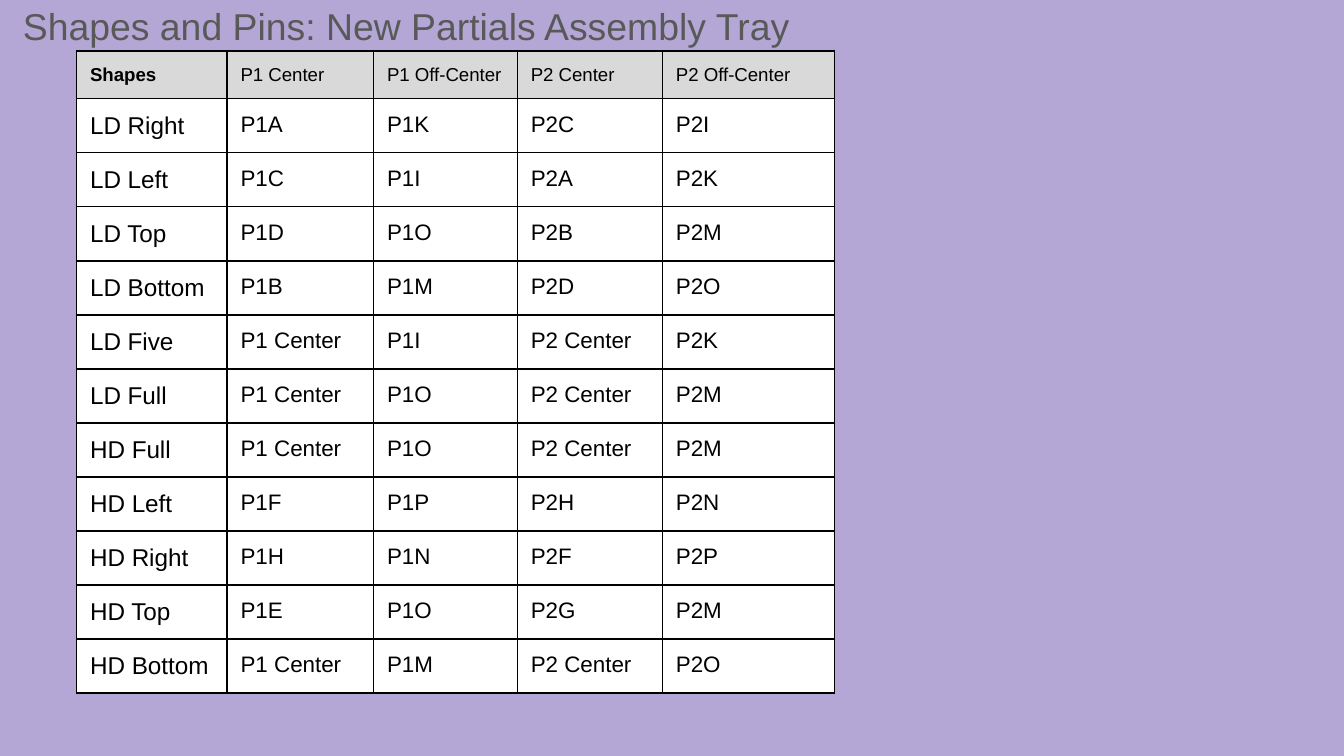
from lxml.etree import SubElement
from pptx import Presentation
from pptx.dml.color import RGBColor
from pptx.enum.text import MSO_ANCHOR, MSO_AUTO_SIZE, PP_ALIGN
from pptx.oxml.ns import qn
from pptx.util import Inches, Pt

TITLE = "Shapes and Pins: New Partials Assembly Tray"
HEADER = ("Shapes", "P1 Center", "P1 Off-Center", "P2 Center", "P2 Off-Center")
PINS = [
    ("LD Right", "P1A", "P1K", "P2C", "P2I"),
    ("LD Left", "P1C", "P1I", "P2A", "P2K"),
    ("LD Top", "P1D", "P1O", "P2B", "P2M"),
    ("LD Bottom", "P1B", "P1M", "P2D", "P2O"),
    ("LD Five", "P1 Center", "P1I", "P2 Center", "P2K"),
    ("LD Full", "P1 Center", "P1O", "P2 Center", "P2M"),
    ("HD Full", "P1 Center", "P1O", "P2 Center", "P2M"),
    ("HD Left", "P1F", "P1P", "P2H", "P2N"),
    ("HD Right", "P1H", "P1N", "P2F", "P2P"),
    ("HD Top", "P1E", "P1O", "P2G", "P2M"),
    ("HD Bottom", "P1 Center", "P1M", "P2 Center", "P2O"),
]
SLIDE_WIDTH = 10
SLIDE_HEIGHT = SLIDE_WIDTH * 9 / 16
COLUMN_WIDTHS = (1.12, 1.09, 1.07, 1.08, 1.28)
HEADER_HEIGHT, ROW_HEIGHT = 0.34, 0.4
HEADER_SIZE, SHAPE_SIZE, PIN_SIZE = 10, 13, 12
MARGIN = Inches(0.1)
FONT = "Arial"
COLORS = {
    "background": "B4A7D6",
    "title": "595959",
    "text": "000000",
    "border": "000000",
    "header": "D9D9D9",
    "body": "FFFFFF",
}


def color(name):
    return RGBColor.from_string(COLORS[name])


def format_text(text_frame, size, color_name, bold=False):
    paragraph = text_frame.paragraphs[0]
    paragraph.alignment = PP_ALIGN.LEFT
    font = paragraph.runs[0].font
    font.name, font.size, font.bold = FONT, Pt(size), bold
    font.color.rgb = color(color_name)


def set_margins(holder):
    holder.margin_left = holder.margin_right = MARGIN
    holder.margin_top = holder.margin_bottom = MARGIN


def add_borders(cell):
    properties = cell._tc.get_or_add_tcPr()
    for side in ("a:lnL", "a:lnR", "a:lnT", "a:lnB"):
        line = SubElement(properties, qn(side), w=str(Pt(0.75)))
        fill = SubElement(line, qn("a:solidFill"))
        SubElement(fill, qn("a:srgbClr"), val=COLORS["border"])


def add_title(slide):
    title = slide.shapes.title
    title.left, title.top = Inches(0.07), Inches(-0.08)
    title.width, title.height = Inches(9.48), Inches(0.47)
    text_frame = title.text_frame
    text_frame.text = TITLE
    text_frame.word_wrap = True
    text_frame.auto_size = MSO_AUTO_SIZE.NONE
    text_frame.vertical_anchor = MSO_ANCHOR.TOP
    set_margins(text_frame)
    format_text(text_frame, 20, "title")


def add_pin_table(slide):
    rows = [HEADER, *PINS]
    heights = [HEADER_HEIGHT] + [ROW_HEIGHT] * len(PINS)
    table = slide.shapes.add_table(
        len(rows), len(HEADER), Inches(0.57), Inches(0.38),
        Inches(sum(COLUMN_WIDTHS)), Inches(sum(heights)),
    ).table
    table.horz_banding = False
    for column, width in zip(table.columns, COLUMN_WIDTHS):
        column.width = Inches(width)
    for row, height in zip(table.rows, heights):
        row.height = Inches(height)
    for row_index, values in enumerate(rows):
        is_header = row_index == 0
        for column_index, value in enumerate(values):
            is_label = column_index == 0
            body_size = SHAPE_SIZE if is_label else PIN_SIZE
            cell = table.cell(row_index, column_index)
            cell.text_frame.text = value
            format_text(
                cell.text_frame, HEADER_SIZE if is_header else body_size,
                "text", bold=is_header and is_label,
            )
            set_margins(cell)
            add_borders(cell)
            cell.fill.solid()
            cell.fill.fore_color.rgb = color("header" if is_header else "body")


def main():
    presentation = Presentation()
    presentation.slide_width = Inches(SLIDE_WIDTH)
    presentation.slide_height = Inches(SLIDE_HEIGHT)
    slide = presentation.slides.add_slide(presentation.slide_layouts[5])
    slide.background.fill.solid()
    slide.background.fill.fore_color.rgb = color("background")
    add_title(slide)
    add_pin_table(slide)
    presentation.save("out.pptx")


if __name__ == "__main__":
    main()
